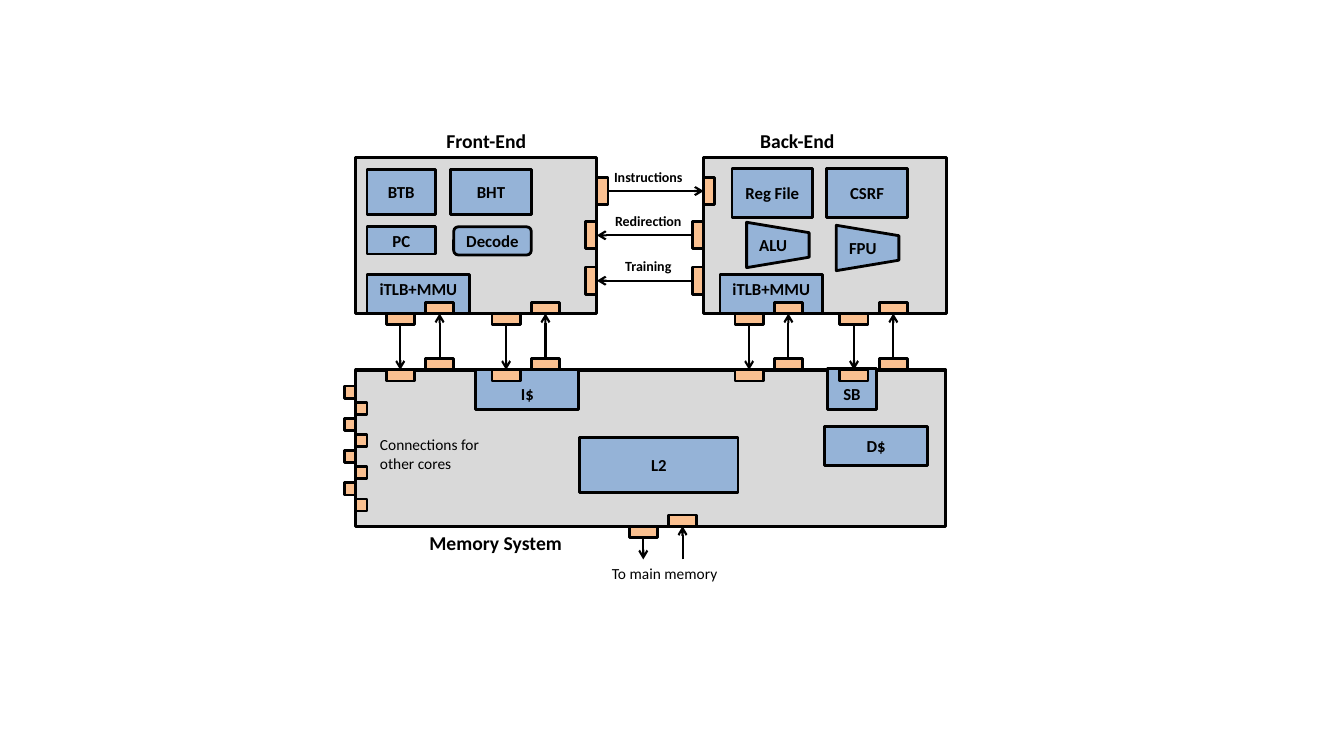
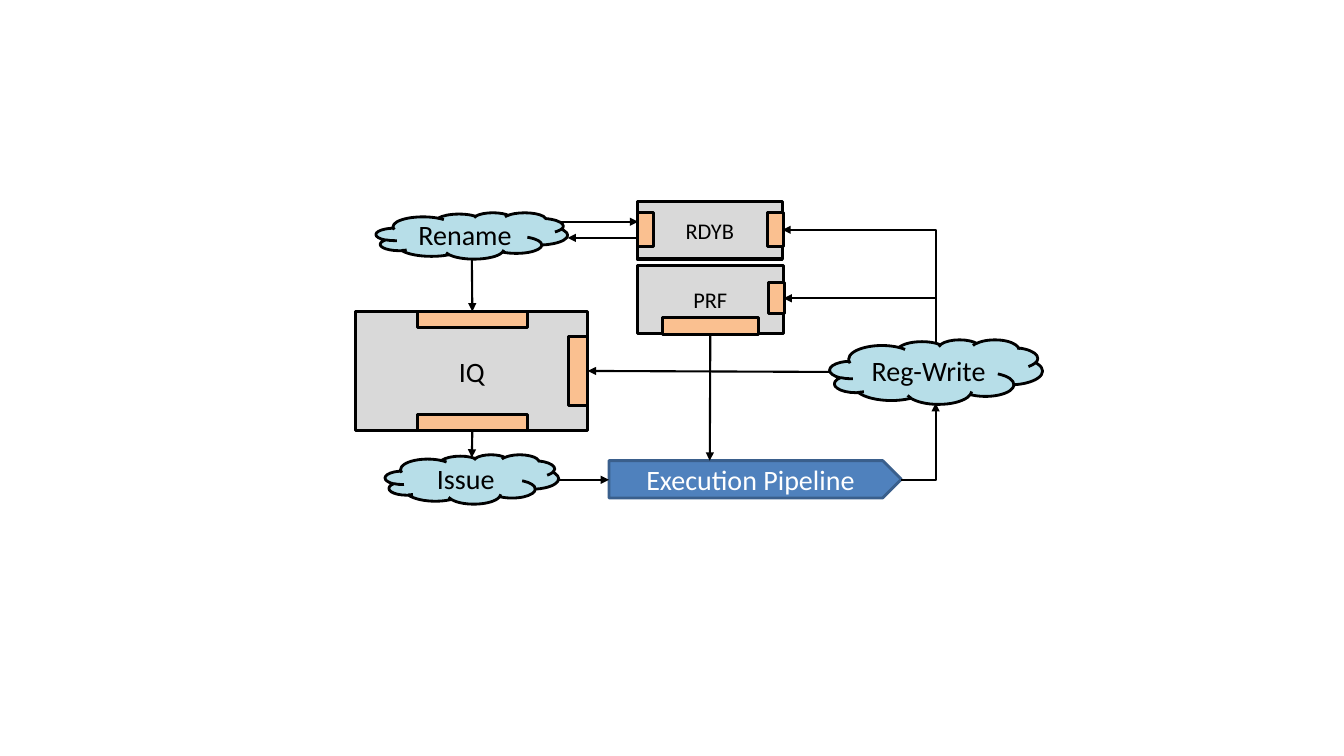
"""Draw a processor block diagram and its issue pipeline on two slides."""
from typing import NamedTuple, Optional

import lxml.etree
import pptx
import pptx.dml.color
import pptx.enum.shapes
import pptx.enum.text
import pptx.oxml.ns
import pptx.shapes.autoshape
import pptx.shapes.connector
import pptx.slide
import pptx.text.text
import pptx.util

RGBColor = pptx.dml.color.RGBColor
Inches = pptx.util.Inches
Pt = pptx.util.Pt
Kind = pptx.enum.shapes.MSO_SHAPE
Line = pptx.enum.shapes.MSO_CONNECTOR
Align = pptx.enum.text.PP_ALIGN
Anchor = pptx.enum.text.MSO_ANCHOR
qn = pptx.oxml.ns.qn

BLACK = RGBColor(0x00, 0x00, 0x00)
WHITE = RGBColor(0xFF, 0xFF, 0xFF)
GRAY = RGBColor(0xD9, 0xD9, 0xD9)
ORANGE = RGBColor(0xFA, 0xC0, 0x90)
BLUE = RGBColor(0x95, 0xB3, 0xD7)
AQUA = RGBColor(0xB7, 0xDE, 0xE8)
PIPELINE = RGBColor(0x4F, 0x81, 0xBD)
PIPELINE_EDGE = RGBColor(0x3A, 0x5F, 0x8C)
FONT = "Calibri"
TOP, LEFT, BOTTOM, RIGHT = range(4)
PORT_LONG, PORT_SHORT = 0.28, 0.11
SIDE_PORT_HEIGHT = 0.27


class Frame(NamedTuple):
    """Place and size in inches."""

    left: float
    top: float
    width: float
    height: float


class Block(NamedTuple):
    """A labelled box of a diagram."""

    text: str
    frame: Frame
    kind: Kind = Kind.RECTANGLE
    anchor: Anchor = Anchor.MIDDLE
    fill: RGBColor = BLUE
    edge: RGBColor = BLACK
    weight: float = 2
    size: float = 12
    bold: bool = False
    color: RGBColor = BLACK


class Label(NamedTuple):
    """Free text beside the boxes."""

    text: str
    frame: Frame
    size: float
    bold: bool = False
    align: Align = Align.LEFT
    wrap: bool = False


class End(NamedTuple):
    """An end of a line: a point, or a site on a shape."""

    x: float = 0
    y: float = 0
    shape: Optional[pptx.shapes.autoshape.Shape] = None
    site: int = 0


def write_text(text_frame: pptx.text.text.TextFrame, text: str, *, size: float,
               bold: bool = False, color: RGBColor = BLACK,
               align: Align = Align.CENTER, anchor: Anchor = Anchor.TOP,
               wrap: bool = True) -> None:
    """Fill a text frame with one formatted paragraph."""
    text_frame.word_wrap = wrap
    text_frame.vertical_anchor = anchor
    para = text_frame.paragraphs[0]
    para.alignment = align
    span = para.add_run()
    span.text = text
    span.font.name = FONT
    span.font.size = Pt(size)
    span.font.bold = bold
    span.font.color.rgb = color


def add_block(page: pptx.slide.Slide, block: Block) -> pptx.shapes.autoshape.Shape:
    """Draw a box with its label."""
    box = page.shapes.add_shape(block.kind, *map(Inches, block.frame))
    box.shadow.inherit = False
    box.fill.solid()
    box.fill.fore_color.rgb = block.fill
    box.line.color.rgb = block.edge
    box.line.width = Pt(block.weight)
    if block.text:
        write_text(box.text_frame, block.text, size=block.size, bold=block.bold,
                   color=block.color, anchor=block.anchor)
    return box


def add_panel(page: pptx.slide.Slide, frame: Frame, text: str = "",
              size: float = 12) -> pptx.shapes.autoshape.Shape:
    """Draw a gray unit."""
    return add_block(page, Block(text, frame, fill=GRAY, weight=2.25, size=size))


def add_port(page: pptx.slide.Slide, left: float, top: float,
             width: float = PORT_LONG,
             height: float = PORT_SHORT) -> pptx.shapes.autoshape.Shape:
    """Draw an orange port."""
    return add_block(page, Block("", Frame(left, top, width, height), fill=ORANGE))


def add_label(page: pptx.slide.Slide, label: Label) -> None:
    """Draw free text."""
    box = page.shapes.add_textbox(*map(Inches, label.frame))
    write_text(box.text_frame, label.text, size=label.size, bold=label.bold,
               align=label.align, wrap=label.wrap)
    box.text_frame.auto_size = pptx.enum.text.MSO_AUTO_SIZE.SHAPE_TO_FIT_TEXT


def add_arrow(page: pptx.slide.Slide, begin: End, end: End, *,
              head: str = "triangle", at_begin: bool = False,
              bent: bool = False) -> pptx.shapes.connector.Connector:
    """Draw an arrow; a bent one runs level first, then upright."""
    arrow = page.shapes.add_connector(
        Line.ELBOW if bent else Line.STRAIGHT,
        *map(Inches, (begin.x, begin.y, end.x, end.y)))
    if begin.shape is not None:
        arrow.begin_connect(begin.shape, begin.site)
    if end.shape is not None:
        arrow.end_connect(end.shape, end.site)
    arrow.line.color.rgb = BLACK
    arrow.line.width = Pt(1.5)
    properties = arrow.element.spPr
    if bent:
        properties.find(qn("a:prstGeom")).set("prst", "bentConnector2")
    tip = qn("a:headEnd" if at_begin else "a:tailEnd")
    lxml.etree.SubElement(properties.find(qn("a:ln")), tip).set("type", head)
    lxml.etree.SubElement(properties, qn("a:effectLst"))
    return arrow


def join_ports(page: pptx.slide.Slide, source: pptx.shapes.autoshape.Shape,
               source_site: int, target: pptx.shapes.autoshape.Shape,
               target_site: int) -> None:
    """Draw an open arrow from one port to another."""
    add_arrow(page, End(shape=source, site=source_site),
              End(shape=target, site=target_site), head="arrow")


def build_core(page: pptx.slide.Slide) -> None:
    """Draw the front end, the back end and the memory system."""
    for frame in (Frame(3.53, 1.56, 2.39, 1.55), Frame(6.98, 1.56, 2.41, 1.55),
                  Frame(3.53, 3.67, 5.85, 1.55)):
        add_panel(page, frame)

    blocks = (
        Block("PC", Frame(3.64, 2.25, 0.68, 0.27)),
        Block("BTB", Frame(3.64, 1.68, 0.68, 0.45)),
        Block("BHT", Frame(4.47, 1.68, 0.8, 0.45)),
        Block("Decode", Frame(4.5, 2.25, 0.77, 0.28), Kind.ROUNDED_RECTANGLE),
        Block("Reg File", Frame(7.26, 1.67, 0.8, 0.49)),
        Block("CSRF", Frame(8.2, 1.67, 0.8, 0.49)),
        Block("iTLB+MMU", Frame(3.64, 2.72, 1.02, 0.39), anchor=Anchor.TOP),
        Block("iTLB+MMU", Frame(7.14, 2.72, 1.02, 0.39), anchor=Anchor.TOP),
        Block("I$", Frame(4.72, 3.67, 1.02, 0.39), anchor=Anchor.BOTTOM),
        Block("D$", Frame(8.18, 4.23, 1.02, 0.39)),
        Block("SB", Frame(8.21, 3.66, 0.48, 0.4), anchor=Anchor.BOTTOM),
        Block("L2", Frame(5.75, 4.34, 1.57, 0.55)),
        Block("ALU", Frame(7.49, 2.12, 0.45, 0.62), Kind.TRAPEZOID),
        Block("FPU", Frame(8.38, 2.15, 0.45, 0.62), Kind.TRAPEZOID),
    )
    for block in blocks:
        box = add_block(page, block._replace(bold=True))
        if block.kind == Kind.TRAPEZOID:
            box.rotation = 90
            box.adjustments[0] = 0.23
            box.element.txBody.find(qn("a:bodyPr")).set("vert", "vert270")

    for text, top, source_left, target_left in (
            ("Instructions", 1.76, 5.92, 6.98),
            ("Redirection", 2.2, 6.87, 5.81),
            ("Training", 2.65, 6.87, 5.81)):
        source, target = (add_port(page, left, top, PORT_SHORT, SIDE_PORT_HEIGHT)
                          for left in (source_left, target_left))
        sites = (RIGHT, LEFT) if source_left < target_left else (LEFT, RIGHT)
        join_ports(page, source, sites[0], target, sites[1])
        add_label(page, Label(text, Frame(5.98, top - 0.14, 0.9, 0.27), 10, True,
                              Align.CENTER))

    for left in (3.83, 4.88, 7.29, 8.33):
        request, accept = (add_port(page, left, top) for top in (3.11, 3.67))
        join_ports(page, request, BOTTOM, accept, TOP)
        reply, receive = (add_port(page, left + 0.39, top) for top in (3.56, 3))
        join_ports(page, reply, TOP, receive, BOTTOM)

    incoming = add_port(page, 6.63, 5.11)
    outgoing = add_port(page, 6.24, 5.22)
    add_arrow(page, End(shape=outgoing, site=BOTTOM), End(6.38, 5.55), head="arrow")
    add_arrow(page, End(6.77, 5.55), End(shape=incoming, site=BOTTOM), head="arrow")

    for index in range(8):
        add_port(page, 3.53 if index % 2 else 3.42, 3.83 + 0.16 * index,
                 PORT_SHORT, 0.12)

    for label in (
            Label("Front-End", Frame(4.33, 1.23, 1, 0.34), 14, True),
            Label("Back-End", Frame(7.44, 1.23, 0.95, 0.34), 14, True),
            Label("Memory System", Frame(4.16, 5.22, 1.53, 0.34), 14, True),
            Label("To main memory", Frame(5.97, 5.55, 1.27, 0.29), 11),
            Label("Connections for other cores", Frame(3.67, 4.27, 1.24, 0.47), 11,
                  wrap=True)):
        add_label(page, label)


def build_pipeline(page: pptx.slide.Slide) -> None:
    """Draw the path from rename to register write."""
    add_panel(page, Frame(3.53, 3.09, 2.3, 1.18), "IQ", 20)
    add_panel(page, Frame(6.32, 2, 1.44, 0.57), "RDYB", 16)
    add_panel(page, Frame(6.32, 2.63, 1.45, 0.68), "PRF", 16)
    queue_in = add_port(page, 4.14, 3.09, 1.09, 0.16)
    queue_out = add_port(page, 4.14, 4.11, 1.09, 0.16)
    queue_wakeup = add_port(page, 5.64, 3.34, 0.19, 0.68)
    register_read = add_port(page, 6.57, 3.15, 0.95, 0.17)
    for left, top, height in ((6.32, 2.11, 0.34), (7.61, 2.11, 0.34),
                              (7.62, 2.8, 0.31)):
        add_port(page, left, top, 0.16, height)
    add_block(page, Block("Execution Pipeline", Frame(6.04, 4.57, 2.9, 0.37),
                          Kind.PENTAGON, fill=PIPELINE, edge=PIPELINE_EDGE,
                          size=20, color=WHITE))

    for begin, end in (
            (End(6.32, 2.36), End(5.63, 2.36)),
            (End(5.42, 2.2), End(6.33, 2.2)),
            (End(4.68, 2.58), End(shape=queue_in, site=TOP)),
            (End(shape=queue_out, site=BOTTOM), End(4.68, 4.54)),
            (End(8.23, 3.69), End(shape=queue_wakeup, site=RIGHT)),
            (End(5.54, 4.76), End(6.04, 4.76)),
            (End(shape=register_read, site=BOTTOM), End(7.04, 4.57))):
        add_arrow(page, begin, end)
    for begin in (End(7.76, 2.28), End(7.77, 2.96)):
        add_arrow(page, begin, End(9.28, 3.4), at_begin=True, bent=True)
    add_arrow(page, End(8.94, 4.76), End(9.28, 4), bent=True)

    for text, frame in (("Rename", Frame(3.73, 2.11, 1.9, 0.46)),
                        ("Reg-Write", Frame(8.23, 3.37, 2.11, 0.64)),
                        ("Issue", Frame(3.82, 4.51, 1.72, 0.49))):
        add_block(page, Block(text, frame, Kind.CLOUD, fill=AQUA, size=20))


def main() -> None:
    """Build and save the deck."""
    deck = pptx.Presentation()
    deck.slide_width, deck.slide_height = Inches(13.33), Inches(7.5)
    for build in (build_core, build_pipeline):
        build(deck.slides.add_slide(deck.slide_layouts[6]))
    deck.save("out.pptx")


if __name__ == "__main__":
    main()
